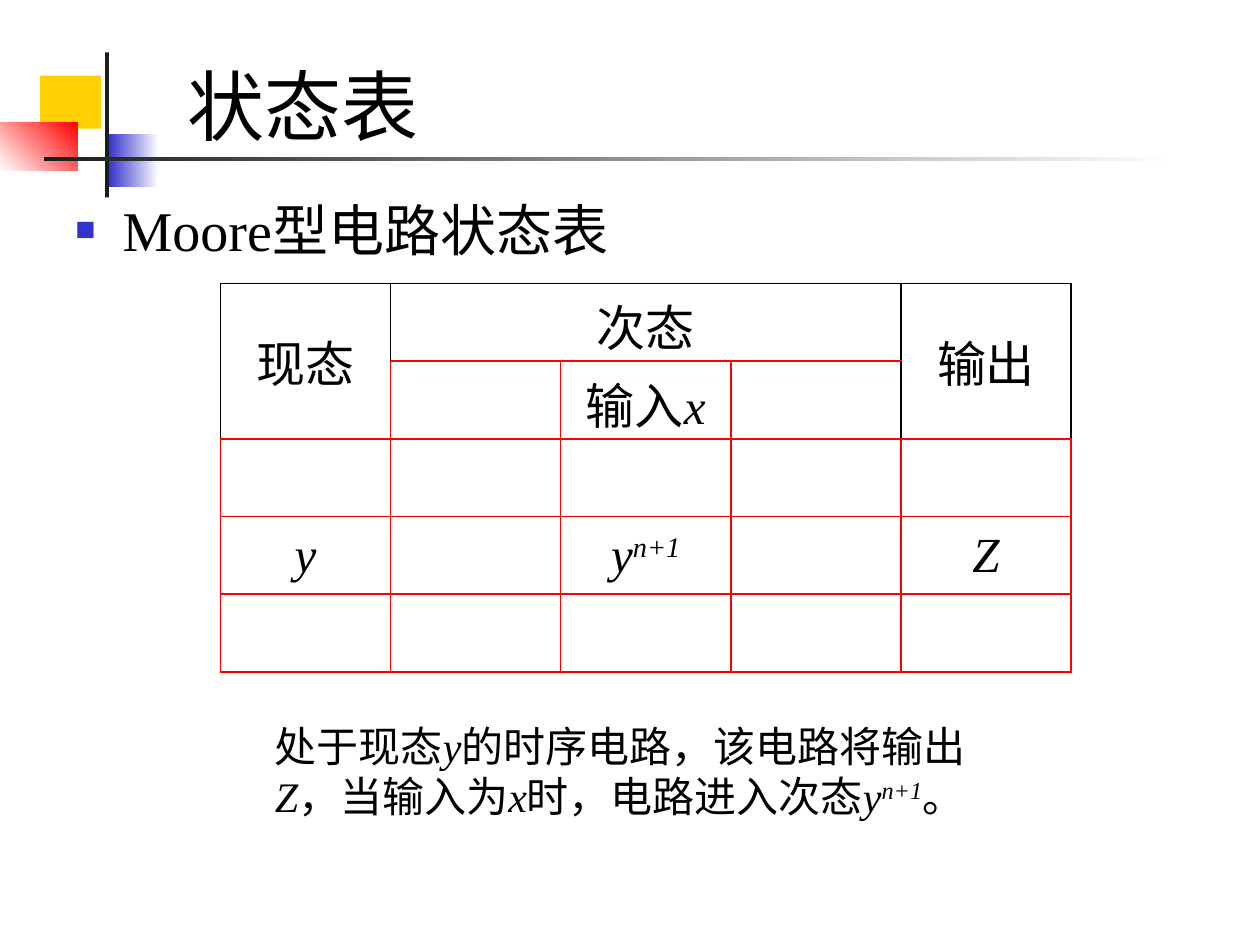
from lxml import etree
from pptx import Presentation
from pptx import util as u
from pptx.dml.color import RGBColor
from pptx.enum import shapes, text
from pptx.oxml.ns import qn

Pt = u.Pt
COLORS = {"black": "000000", "ink": "1C1C1C", "white": "FFFFFF", "red": "FF0000",
          "blue": "3333CC", "gold": "FFCF01"}
SERIF, SANS, TABLE_FONT = "Times New Roman", "Noto Sans CJK SC", "Karla"

# left, top, width, height, colours, gradient angle (counter-clockwise)
ORNAMENTS = [
    (23, 43.2, 34.6, 30.3, ["gold"], None),
    (62, 76.5, 28.8, 30.3, ["blue", "white"], 0),
    (0, 69.8, 44.2, 27.4, ["white", "red"], 45),
    (60, 30, 2.3, 82.8, ["ink"], None),
    (25, 89.8, 648, 2.5, ["ink", "white"], 0),
]

# Each text is a list of (words, style); i = italic, s = superscript
TITLE = [("状态表", "")]
HEADING = [("Moore型电路", ""), ("状态表", "")]
NOTE = [("处于现态", ""), ("y", "i"), ("的时序电路，该电路将输出", ""), ("Z", "i"),
        ("，当输入为", ""), ("x", "i"), ("时，电路进入次态", ""), ("y", "i"),
        ("n+1", "is"), ("。", "")]

ROWS, COLS = 5, 5
COL_WIDTH, ROW_HEIGHT = 97.2, 44.4
MERGES = [((0, 0), (1, 0)), ((0, 1), (0, 3)), ((0, 4), (1, 4))]
HEADER_CELLS = {(0, col) for col in range(COLS)} | {(1, 0), (1, 4)}
CELLS = {
    (0, 0): [("现态", "")],
    (0, 1): [("次态", "")],
    (0, 4): [("输出", "")],
    (1, 2): [("输入", ""), ("x", "i")],
    (3, 0): [("y", "i")],
    (3, 2): [("y", "i"), ("n+1", "is")],
    (3, 4): [("Z", "i")],
}


def rgb(name):
    return RGBColor.from_string(COLORS[name])


def add_ornament(page, left, top, width, height, colors, angle):
    shape = page.shapes.add_shape(shapes.MSO_SHAPE.RECTANGLE,
                                  Pt(left), Pt(top), Pt(width), Pt(height))
    shape.shadow.inherit = False
    shape.line.fill.background()
    if angle is None:
        shape.fill.solid()
        shape.fill.fore_color.rgb = rgb(colors[0])
        return
    shape.fill.gradient()
    shape.fill.gradient_angle = angle
    for stop, color, position in zip(shape.fill.gradient_stops, colors, (0, 1)):
        stop.color.rgb = rgb(color)
        stop.position = position


def write(para, spans, size, font):
    para.font.size = Pt(size)
    para.font.name = font
    para.font.color.rgb = rgb("black")
    for words, style in spans:
        span = para.add_run()
        span.text = words
        if "i" in style:
            span.font.italic = True
            span.font.name = SERIF
        if "s" in style:
            span.font._element.set("baseline", "30000")


def add_text(page, left, top, width, height):
    box = page.shapes.add_textbox(Pt(left), Pt(top), Pt(width), Pt(height))
    box.text_frame.word_wrap = True
    return box.text_frame


def add_square_bullet(para):
    props = para._p.get_or_add_pPr()
    props.set("marL", str(Pt(27)))
    props.set("indent", str(-Pt(27)))
    color = etree.SubElement(props, qn("a:buClr"))
    etree.SubElement(color, qn("a:srgbClr"), val=COLORS["blue"])
    etree.SubElement(props, qn("a:buSzPct"), val="60000")
    etree.SubElement(props, qn("a:buFont"), typeface="Arial")
    etree.SubElement(props, qn("a:buChar"), char="■")


def set_borders(cell, is_header):
    """Red grid, with black left, right and top edges on header cells."""
    props = cell._tc.get_or_add_tcPr()
    for side in "LRTB":
        color = "black" if is_header and side != "B" else "red"
        line = etree.SubElement(props, qn(f"a:ln{side}"), w=str(Pt(1)))
        fill = etree.SubElement(line, qn("a:solidFill"))
        etree.SubElement(fill, qn("a:srgbClr"), val=COLORS[color])


def add_state_table(page, left, top):
    table = page.shapes.add_table(ROWS, COLS, Pt(left), Pt(top),
                                  Pt(COLS * COL_WIDTH), Pt(ROWS * ROW_HEIGHT)).table
    table.first_row = table.horz_banding = False
    for col in table.columns:
        col.width = Pt(COL_WIDTH)
    for row in table.rows:
        row.height = Pt(ROW_HEIGHT)
    for row in range(ROWS):
        for col in range(COLS):
            cell = table.cell(row, col)
            set_borders(cell, (row, col) in HEADER_CELLS)
            cell.fill.background()
    for start, end in MERGES:
        table.cell(*start).merge(table.cell(*end))
    for place, spans in CELLS.items():
        cell = table.cell(*place)
        cell.vertical_anchor = text.MSO_ANCHOR.MIDDLE
        para = cell.text_frame.paragraphs[0]
        para.alignment = text.PP_ALIGN.CENTER
        write(para, spans, 28, TABLE_FONT)


def main():
    deck = Presentation()
    deck.slide_width, deck.slide_height = Pt(720), Pt(540)
    page = deck.slides.add_slide(deck.slide_layouts[6])
    for ornament in ORNAMENTS:
        add_ornament(page, *ornament)

    heading = add_text(page, 36, 108, 660, 384).paragraphs[0]
    heading.alignment = text.PP_ALIGN.JUSTIFY
    add_square_bullet(heading)
    write(heading, HEADING, 32, SERIF)
    heading.runs[-1].font.name = SANS

    title = add_text(page, 100, 41.8, 613.4, 48.2)
    title.vertical_anchor = text.MSO_ANCHOR.BOTTOM
    write(title.paragraphs[0], TITLE, 44, SANS)

    add_state_table(page, 126, 162)

    note = add_text(page, 150, 408, 414, 64.8)
    note.auto_size = text.MSO_AUTO_SIZE.SHAPE_TO_FIT_TEXT
    write(note.paragraphs[0], NOTE, 24, SERIF)

    deck.save("out.pptx")


if __name__ == "__main__":
    main()
